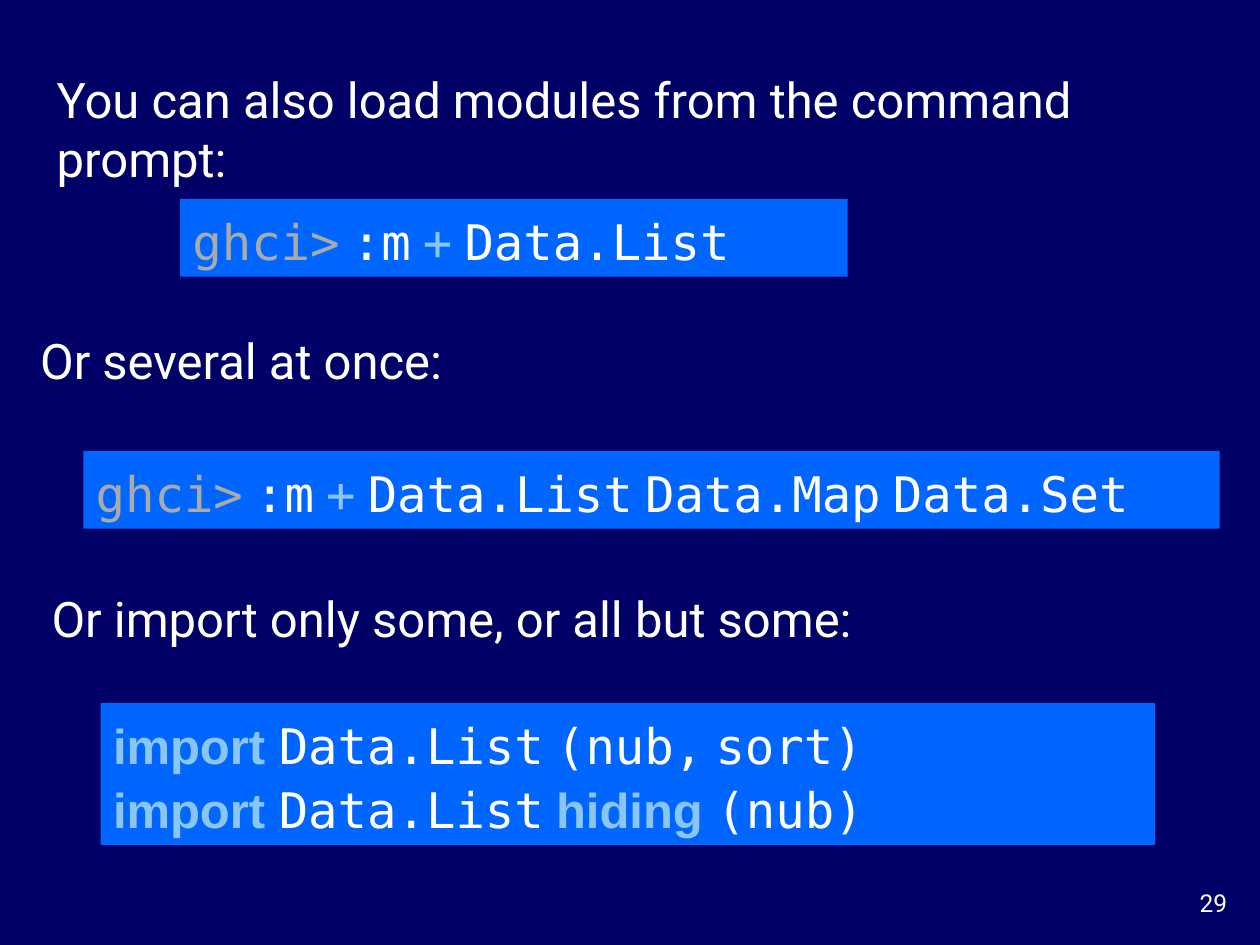
from pptx import Presentation
from pptx.dml.color import RGBColor
from pptx.enum.shapes import MSO_SHAPE
from pptx.enum.text import MSO_ANCHOR, PP_ALIGN
from pptx.util import Cm, Pt

RECT = MSO_SHAPE.RECTANGLE
TOP, MIDDLE = MSO_ANCHOR.TOP, MSO_ANCHOR.MIDDLE
LEFT, RIGHT = PP_ALIGN.LEFT, PP_ALIGN.RIGHT

NAVY, BLUE, WHITE = "000066", "0066FF", "FFFFFF"
GREY, SKY = "AAAAAA", "89C6F4"
SANS, MONO, BOLD = "Roboto", "DejaVu Sans Mono", "Arial"
HARD = chr(160)  # no-break space, used throughout the code

# Kinds of code text: font, colour, bold
PROMPT = (MONO, GREY, False)
PLAIN = (MONO, WHITE, False)
SIGN = (MONO, SKY, False)
WORD = (BOLD, SKY, True)


def color(code):
    return RGBColor.from_string(code)


def style(font, name, tint, size=28, bold=False):
    font.name = name
    font.size = Pt(size)
    font.bold = bold
    font.color.rgb = color(tint)


def place(shape, box):
    shape.left, shape.top, shape.width, shape.height = map(Cm, box)


def write(shape, text, size=28, align=LEFT, anchor=MIDDLE):
    frame = shape.text_frame
    frame.word_wrap = True
    frame.vertical_anchor = anchor
    frame.text = text
    para = frame.paragraphs[0]
    para.alignment = align
    style(para.runs[0].font, SANS, WHITE, size)


def add_title(slide, text, box):
    title = slide.shapes.title
    place(title, box)
    write(title, text)


def add_text(slide, text, box, **look):
    write(slide.shapes.add_textbox(*map(Cm, box)), text, **look)


def add_run(para, text, name, tint, bold):
    run = para.add_run()
    run.text = text
    style(run.font, name, tint, bold=bold)


def add_words(para, text, name, tint, bold):
    """Add code text; spaces between mono words take the narrower sans font."""
    gap = SANS if name == MONO else name
    for i, word in enumerate(text.split(" ")):
        if i:
            add_run(para, HARD, gap, tint, bold)
        if word:
            add_run(para, word, name, tint, bold)


def add_code(slide, lines, box):
    """Add a blue panel; each line is a list of (text, kind) pairs."""
    panel = slide.shapes.add_shape(RECT, *map(Cm, box))
    panel.shadow.inherit = False
    panel.fill.solid()
    panel.fill.fore_color.rgb = color(BLUE)
    panel.line.fill.background()
    frame = panel.text_frame
    frame.word_wrap = True
    frame.vertical_anchor = MIDDLE
    for i, line in enumerate(lines):
        para = frame.add_paragraph() if i else frame.paragraphs[0]
        para.alignment = LEFT
        para.line_spacing = 1.1
        for text, kind in line:
            add_words(para, text, *kind)


def load(names):
    """Give the prompt line that loads the named modules."""
    return [("ghci> ", PROMPT), (":m ", PLAIN), ("+ ", SIGN), (names, PLAIN)]


def main():
    deck = Presentation()
    deck.slide_width, deck.slide_height = Cm(25.4), Cm(19.05)
    slide = deck.slides.add_slide(deck.slide_layouts[5])
    fill = slide.background.fill
    fill.solid()
    fill.fore_color.rgb = color(NAVY)

    add_title(slide, "You can also load modules from the command prompt:",
              (0.89, 1.27, 23.65, 2.64))
    add_code(slide, [load("Data.List")], (3.63, 4.01, 13.46, 1.57))

    add_text(slide, "Or several at once:", (0.56, 6.53, 11.79, 1.45))
    add_code(slide, [load("Data.List Data.Map Data.Set")],
             (1.68, 9.09, 22.91, 1.57))

    add_text(slide, "Or import only some, or all but some:",
             (0.79, 11.73, 22.25, 1.45))
    add_code(slide, [
        [("import ", WORD), ("Data.List (nub, sort)", PLAIN)],
        [("import ", WORD), ("Data.List ", PLAIN),
         ("hiding ", WORD), ("(nub)", PLAIN)],
    ], (2.03, 14.17, 21.26, 2.87))

    add_text(slide, "29", (23.29, 17.78, 1.7, 0.84),
             size=14, align=RIGHT, anchor=TOP)
    deck.save("out.pptx")


if __name__ == "__main__":
    main()
